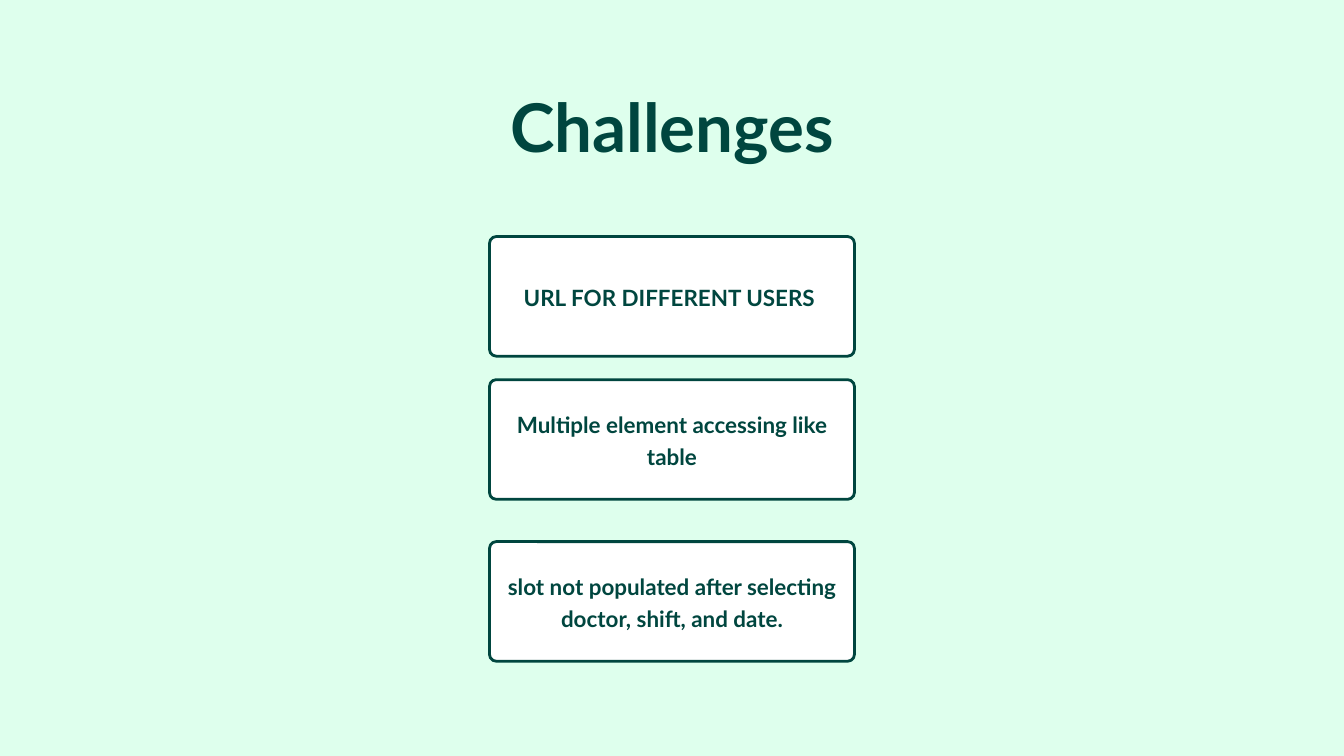
from pptx import Presentation
from pptx.dml.color import RGBColor
from pptx.enum.shapes import MSO_SHAPE
from pptx.enum.text import MSO_ANCHOR, PP_ALIGN
from pptx.util import Inches, Pt

MINT = RGBColor(0xDE, 0xFF, 0xED)
DARK_GREEN = RGBColor(0x00, 0x46, 0x3F)
WHITE = RGBColor(0xFF, 0xFF, 0xFF)

TITLE = "Challenges"
CHALLENGES = [
    (3.52, "URL FOR DIFFERENT USERS "),
    (5.65, "Multiple element accessing like table"),
    (8.06, "slot not populated after selecting doctor, shift, and date."),
]

SLIDE_WIDTH, SLIDE_HEIGHT = 20, 11.25
TITLE_WIDTH = 18.33
CARD_WIDTH, CARD_HEIGHT, CARD_RADIUS = 5.43, 1.78, 0.1
TITLE_MARGINS = {"margin_left": 0, "margin_right": 0, "margin_top": 0, "margin_bottom": 0}
CARD_MARGINS = {"margin_left": 0.03, "margin_right": 0.03, "margin_top": 0.03, "margin_bottom": 0.07}


def centered_left(width):
    return Inches((SLIDE_WIDTH - width) / 2)


def write_text(shape, text, size, margins, anchor, line_spacing):
    frame = shape.text_frame
    frame.word_wrap = True
    frame.vertical_anchor = anchor
    for name, value in margins.items():
        setattr(frame, name, Inches(value))
    paragraph = frame.paragraphs[0]
    paragraph.alignment = PP_ALIGN.CENTER
    paragraph.line_spacing = line_spacing
    run = paragraph.add_run()
    run.text = text
    for name, value in {"name": "Lato", "size": Pt(size), "bold": True}.items():
        setattr(run.font, name, value)
    run.font.color.rgb = DARK_GREEN


def add_card(slide, top, text):
    card = slide.shapes.add_shape(
        MSO_SHAPE.ROUNDED_RECTANGLE, centered_left(CARD_WIDTH), Inches(top),
        Inches(CARD_WIDTH), Inches(CARD_HEIGHT))
    card.adjustments[0] = CARD_RADIUS / CARD_HEIGHT
    card.shadow.inherit = False
    card.fill.solid()
    card.fill.fore_color.rgb = WHITE
    card.line.color.rgb = DARK_GREEN
    card.line.width = Pt(3)
    write_text(card, text, 24, CARD_MARGINS, MSO_ANCHOR.MIDDLE, 1.2)


def main():
    presentation = Presentation()
    presentation.slide_width = Inches(SLIDE_WIDTH)
    presentation.slide_height = Inches(SLIDE_HEIGHT)
    slide = presentation.slides.add_slide(presentation.slide_layouts[6])
    slide.background.fill.solid()
    slide.background.fill.fore_color.rgb = MINT

    title = slide.shapes.add_textbox(
        centered_left(TITLE_WIDTH), Inches(1.27), Inches(TITLE_WIDTH), Inches(1.21))
    write_text(title, TITLE, 72, TITLE_MARGINS, MSO_ANCHOR.TOP, 1.0)
    for top, text in CHALLENGES:
        add_card(slide, top, text)
    presentation.save("out.pptx")


if __name__ == "__main__":
    main()
